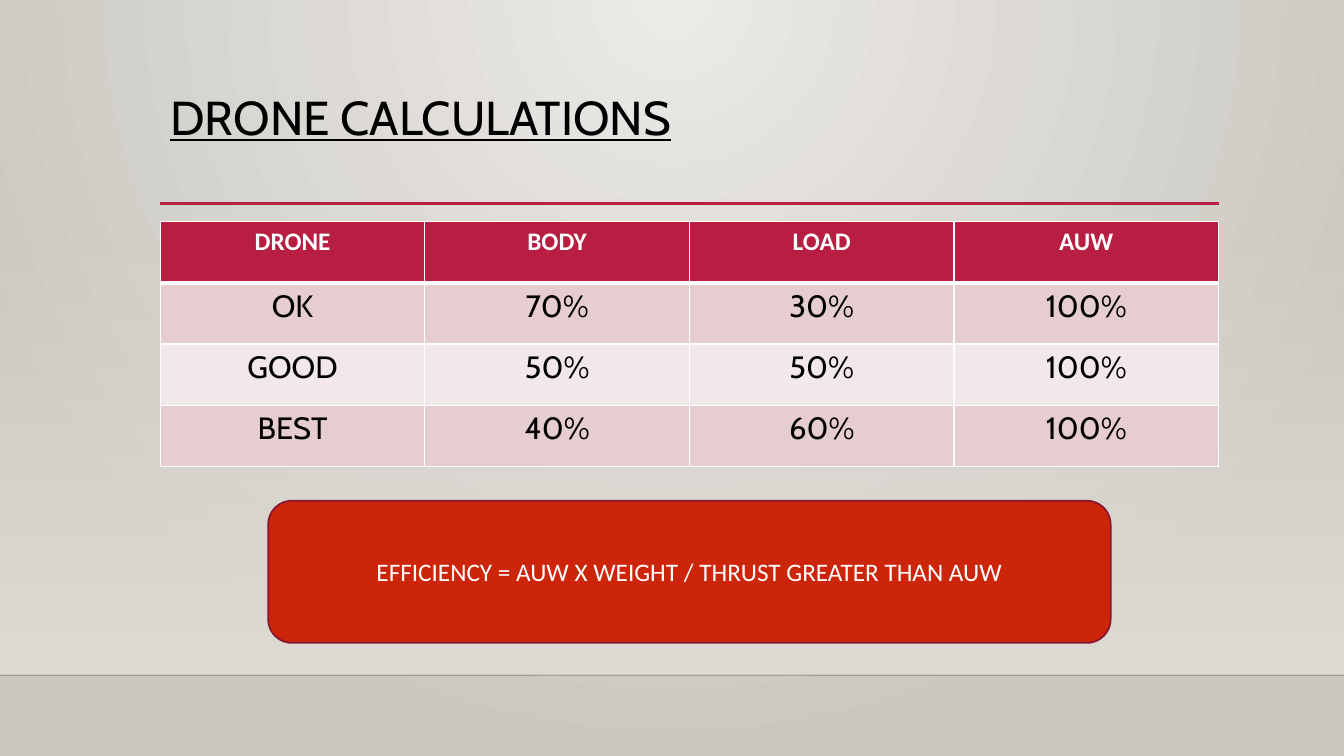
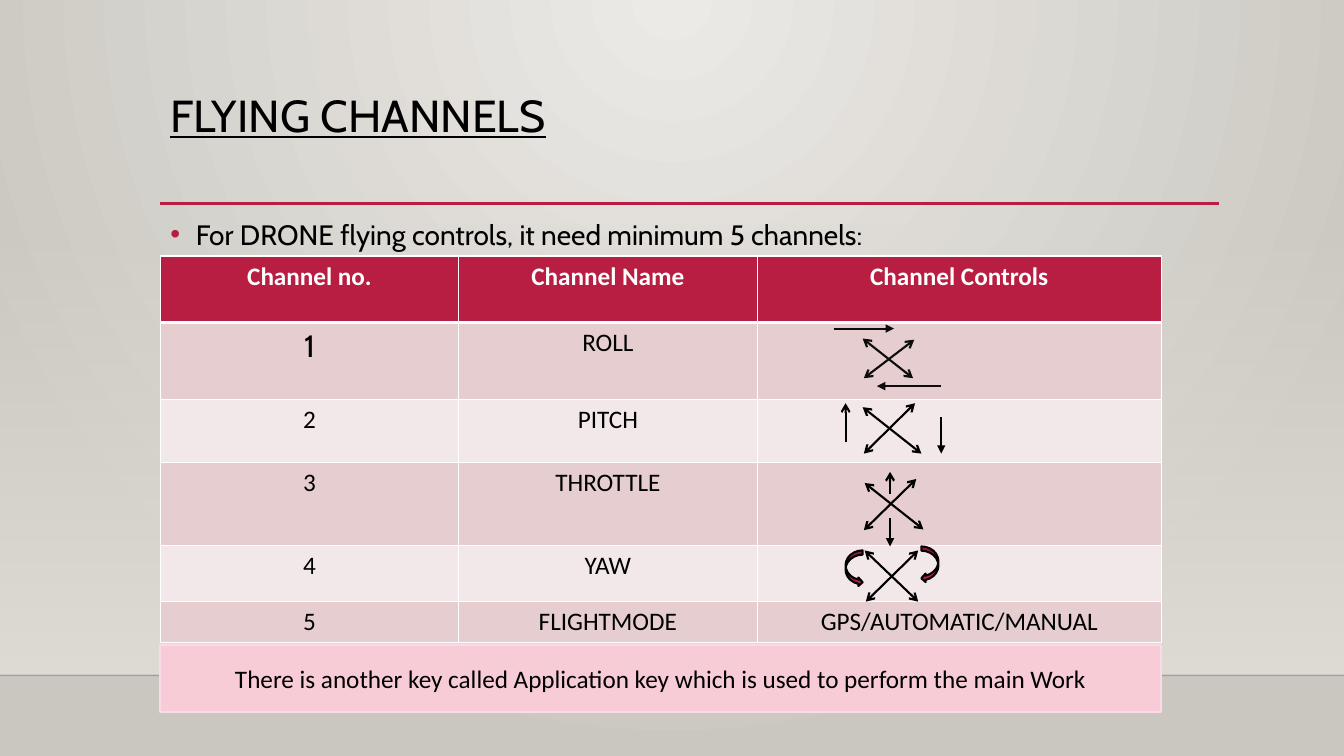
import itertools

import lxml.etree
import pptx
import pptx.dml.color
import pptx.enum.shapes
import pptx.enum.text
import pptx.oxml.ns
import pptx.util

# Shared style
Cm = pptx.util.Cm
Pt = pptx.util.Pt
qn = pptx.oxml.ns.qn
colour = pptx.dml.color.RGBColor.from_string
MSO_SHAPE = pptx.enum.shapes.MSO_SHAPE
PP_ALIGN = pptx.enum.text.PP_ALIGN

ACCENT, BLACK, WHITE, INK = "B71E42", "000000", "FFFFFF", "0D0D0D"
BAND = "DFDBD5"
STRIPES = ("F3E8E9", "E6CDCF")
HEADING_FONT, PLAIN_FONT = "Cabin", "Calibri"
WIDTH, LEFT, CONTENT_WIDTH = 33.87, 4.04, 26.67


def write(text_frame, text, size, font, hex_colour, align=PP_ALIGN.CENTER, bold=False, underline=False):
    paragraph = text_frame.paragraphs[0]
    paragraph.alignment = align
    run = paragraph.add_run()
    run.text = text
    run.font.size = Pt(size)
    run.font.name = font
    run.font.bold = bold
    run.font.underline = underline
    run.font.color.rgb = colour(hex_colour)
    return paragraph


def draw_line(slide, ends, hex_colour, width, head=None, tail=None):
    connector = slide.shapes.add_connector(
        pptx.enum.shapes.MSO_CONNECTOR.STRAIGHT, *[Cm(value) for value in ends])
    connector.line.color.rgb = colour(hex_colour)
    connector.line.width = Pt(width)
    properties = connector.element.spPr
    for tag, kind in (("a:headEnd", head), ("a:tailEnd", tail)):
        if kind:
            lxml.etree.SubElement(properties.find(qn("a:ln")), qn(tag), type=kind)
    lxml.etree.SubElement(properties, qn("a:effectLst"))
    return connector


presentation = pptx.Presentation()
presentation.slide_width = Cm(WIDTH)
presentation.slide_height = Cm(19.05)
master = presentation.slide_master
calculations = presentation.slides.add_slide(presentation.slide_layouts[5])
channels = presentation.slides.add_slide(presentation.slide_layouts[1])

# Master background: light from the top centre
background = master.background.fill
background.gradient()
for stop, hex_colour in zip(background.gradient_stops, ("ECEAE7", "CAC7C1")):
    stop.color.rgb = colour(hex_colour)
gradient = master.element.find(".//" + qn("p:bg")).find(".//" + qn("a:gradFill"))
gradient.remove(gradient.find(qn("a:lin")))
focus = lxml.etree.SubElement(gradient, qn("a:path"), path="circle")
lxml.etree.SubElement(focus, qn("a:fillToRect"), l="43000", t="0", r="43000", b="100000")

# Master band, floor line and title rule
band = calculations.shapes.add_shape(MSO_SHAPE.RECTANGLE, 0, Cm(5.61), Cm(WIDTH), Cm(11.4))
band.shadow.inherit = False
band.line.fill.background()
band.fill.gradient()
band.fill.gradient_angle = 270
for stop in band.fill.gradient_stops:
    stop.color.rgb = colour(BAND)
floor_line = draw_line(calculations, (0, 17.02, WIDTH, 17.02), "000001", 1)
title_rule = draw_line(calculations, (LEFT, 5.13, 30.73, 5.13), ACCENT, 2.5)
for shape, alpha in ((band, "0"), (floor_line, "20000")):
    first_colour = shape.element.spPr.find(".//" + qn("a:srgbClr"))
    lxml.etree.SubElement(first_colour, qn("a:alpha"), val=alpha)
for number, shape in enumerate((band, floor_line, title_rule)):
    shape.element.find(".//" + qn("p:cNvPr")).set("id", str(100 + number))
    master.shapes.element.insert(2 + number, shape.element)

# Titles
for slide, text, size, width, height in (
    (calculations, "DRONE CALCULATIONS", 34, CONTENT_WIDTH, 2.92),
    (channels, "FLYING CHANNELS", 32, 26.24, 2.08),
):
    title = slide.shapes.title
    title.left, title.top, title.width, title.height = Cm(LEFT), Cm(2.24), Cm(width), Cm(height)
    title.text_frame.auto_size = pptx.enum.text.MSO_AUTO_SIZE.NONE
    title.text_frame.vertical_anchor = pptx.enum.text.MSO_ANCHOR.TOP
    paragraph = write(title.text_frame, text, size, HEADING_FONT, BLACK, PP_ALIGN.LEFT, underline=True)
    paragraph.line_spacing = 0.9

# Bullet above the channel table
body = channels.placeholders[1]
body.left, body.top, body.width, body.height = Cm(LEFT), Cm(5.18), Cm(CONTENT_WIDTH), Cm(11.86)
body.text_frame.auto_size = pptx.enum.text.MSO_AUTO_SIZE.NONE
paragraph = write(body.text_frame, "For DRONE flying controls, it need minimum 5 channels:",
                  20, HEADING_FONT, BLACK, PP_ALIGN.LEFT)
paragraph.line_spacing = 1.2
paragraph.space_before = Pt(10)
bullet = paragraph.runs[0]._r.getparent().get_or_add_pPr()
bullet.set("marL", str(Cm(0.64)))
bullet.set("indent", str(-Cm(0.64)))
bullet_colour = lxml.etree.SubElement(bullet, qn("a:buClr"))
lxml.etree.SubElement(bullet_colour, qn("a:srgbClr"), val=ACCENT)
lxml.etree.SubElement(bullet, qn("a:buFont"), typeface="Arial")
lxml.etree.SubElement(bullet, qn("a:buChar"), char="•")

# Tables: slide, top, column widths, row heights, cells in the large font, texts
tables = (
    (calculations, 5.59, [CONTENT_WIDTH / 4] * 4, [1.54] * 4,
     set(itertools.product(range(1, 4), range(4))),
     (("DRONE", "BODY", "LOAD", "AUW"),
      ("OK", "70%", "30%", "100%"),
      ("GOOD", "50%", "50%", "100%"),
      ("BEST", "40%", "60%", "100%"))),
    (channels, 6.45, [7.52, 7.52, 10.19], [1.68, 1.93, 1.6, 2.08, 1.42, 1.02],
     {(1, 0)},
     (("Channel no.", "Channel Name", "Channel Controls"),
      ("1", "ROLL", ""),
      ("2", "PITCH", ""),
      ("3", "THROTTLE", ""),
      ("4", "YAW", ""),
      ("5", "FLIGHTMODE", "GPS/AUTOMATIC/MANUAL"))),
)
for slide, top, widths, heights, large_cells, rows in tables:
    table = slide.shapes.add_table(len(heights), len(widths), Cm(LEFT), Cm(top),
                                   Cm(sum(widths)), Cm(sum(heights))).table
    for column, width in zip(table.columns, widths):
        column.width = Cm(width)
    for row, height in zip(table.rows, heights):
        row.height = Cm(height)
    for row_index, column_index in itertools.product(range(len(heights)), range(len(widths))):
        cell = table.cell(row_index, column_index)
        header = row_index == 0
        thick_side = {0: "a:lnB", 1: "a:lnT"}.get(row_index)
        cell_properties = cell._tc.get_or_add_tcPr()
        for side in ("a:lnL", "a:lnR", "a:lnT", "a:lnB"):
            border = lxml.etree.SubElement(cell_properties, qn(side),
                                           w=str(Pt(3 if side == thick_side else 1)))
            border_fill = lxml.etree.SubElement(border, qn("a:solidFill"))
            lxml.etree.SubElement(border_fill, qn("a:srgbClr"), val=WHITE)
        cell.fill.solid()
        cell.fill.fore_color.rgb = colour(ACCENT if header else STRIPES[row_index % 2])
        text = rows[row_index][column_index]
        large = (row_index, column_index) in large_cells
        if text:
            write(cell.text_frame, text, 22 if large else 18, HEADING_FONT if large else PLAIN_FONT,
                  WHITE if header else BLACK, bold=header)

# Channel controls: crossed arms with double arrowheads
for hex_colour, ends in (
    (INK, (21.74, 8.53, 23.01, 9.53)), (INK, (21.77, 9.53, 23.04, 8.56)),
    (BLACK, (21.77, 11.43, 23.06, 10.16)), (BLACK, (21.74, 10.26, 23.22, 11.43)),
    (BLACK, (21.79, 12.17, 23.27, 13.34)), (BLACK, (21.77, 13.36, 23.09, 12.07)),
    (BLACK, (21.82, 15.16, 23.14, 13.87)), (BLACK, (21.79, 13.87, 23.14, 15.16)),
):
    draw_line(channels, ends, hex_colour, 1.5, "arrow", "arrow")

# Channel controls: direction arrows
for hex_colour, tail, ends in (
    (INK, "triangle", (21.01, 8.28, 22.53, 8.28)), (INK, "triangle", (23.72, 9.73, 22.1, 9.73)),
    (BLACK, "arrow", (21.31, 11.15, 21.31, 10.16)), (BLACK, "triangle", (23.72, 10.52, 23.72, 11.43)),
    (BLACK, "arrow", (22.43, 12.45, 22.43, 11.89)), (BLACK, "triangle", (22.43, 13.06, 22.43, 13.77)),
):
    draw_line(channels, ends, hex_colour, 1.5, tail=tail)

# Yaw arrows and message boxes
for slide, kind, box, fill, outline, line_width, text, text_colour in (
    (calculations, MSO_SHAPE.ROUNDED_RECTANGLE, (6.76, 12.62, 21.23, 3.58), "CD2509", "871631", 1.25,
     "EFFICIENCY = AUW X WEIGHT / THRUST GREATER THAN AUW", WHITE),
    (channels, MSO_SHAPE.CURVED_LEFT_ARROW, (23.22, 13.77, 0.43, 0.91), ACCENT, BLACK, 1.5, "", BLACK),
    (channels, MSO_SHAPE.CURVED_RIGHT_ARROW, (21.31, 13.87, 0.43, 0.91), ACCENT, BLACK, 1.5, "", BLACK),
    (channels, MSO_SHAPE.RECTANGLE, (LEFT, 16.26, 25.22, 1.68), "F7CCD6", "F8DAE8", 1.25,
     "There is another key called Application key which is used to perform the main Work", BLACK),
):
    shape = slide.shapes.add_shape(kind, *[Cm(value) for value in box])
    shape.shadow.inherit = False
    shape.fill.solid()
    shape.fill.fore_color.rgb = colour(fill)
    shape.line.color.rgb = colour(outline)
    shape.line.width = Pt(line_width)
    if text:
        write(shape.text_frame, text, 18, PLAIN_FONT, text_colour)

presentation.save("out.pptx")
